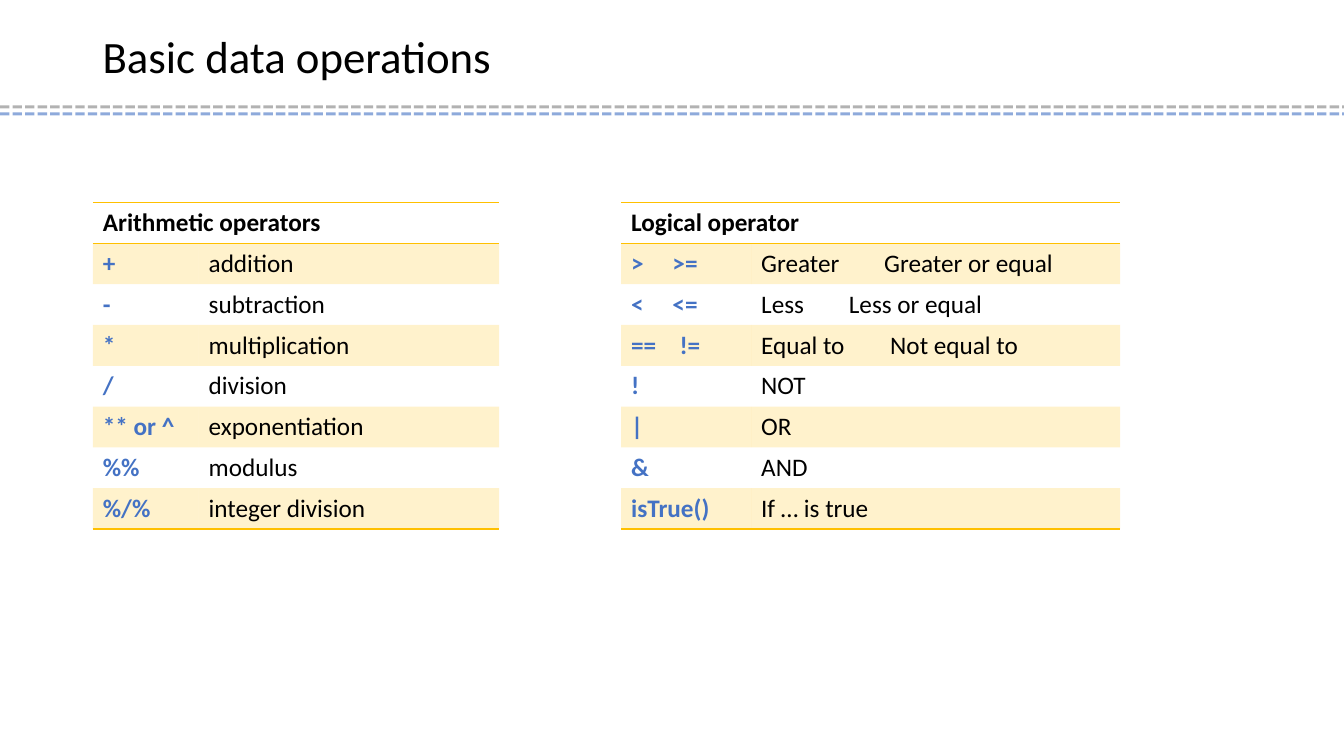
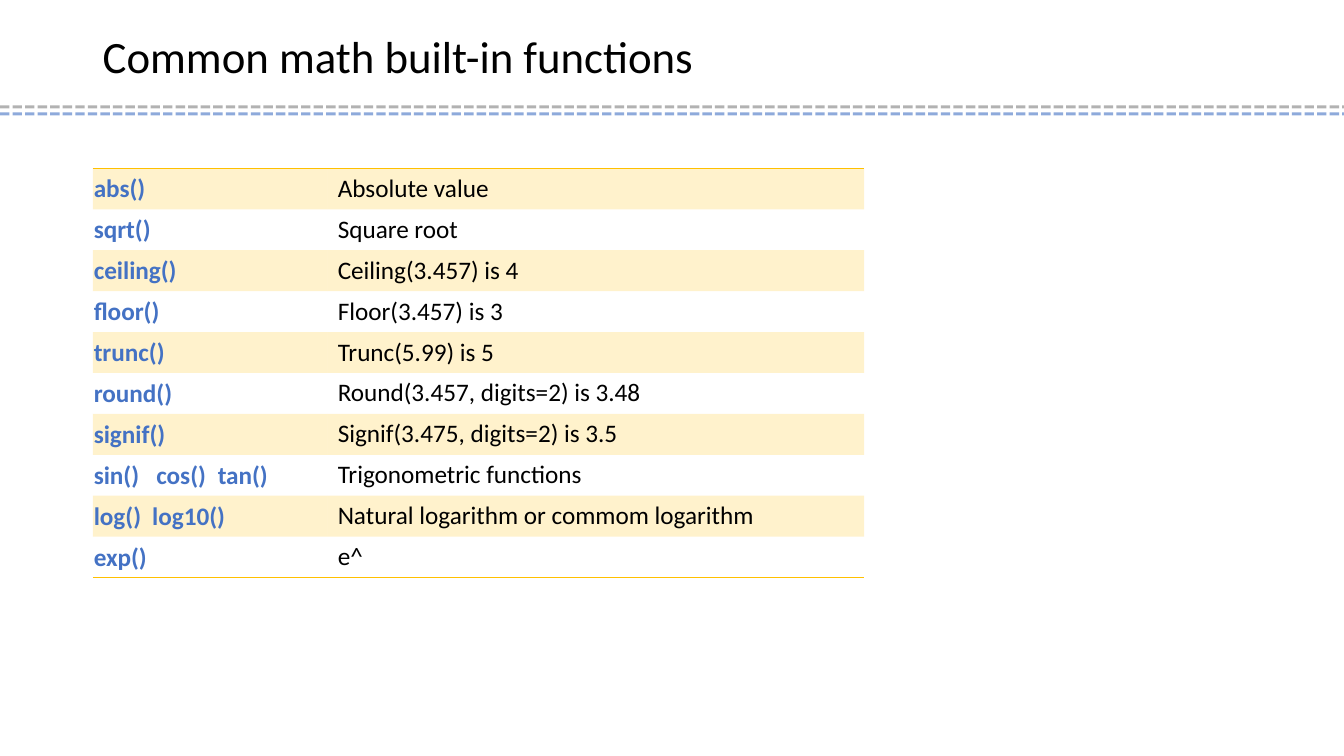
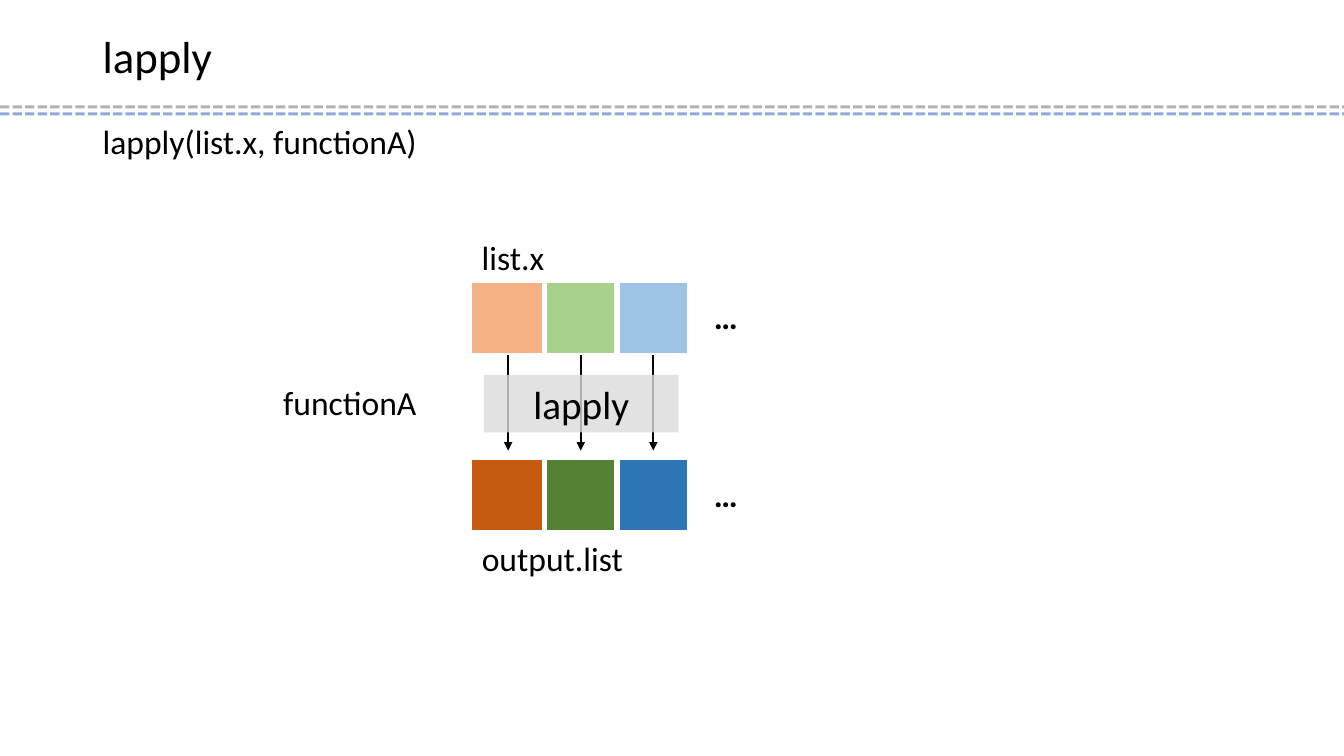
"""Build three slides on data operators, math functions and lapply."""
import dataclasses

import pptx
import pptx.dml.color
import pptx.enum.dml
import pptx.enum.shapes
import pptx.enum.text
import pptx.oxml.ns
import pptx.oxml.xmlchemy
import pptx.util
from lxml import etree

Inches = pptx.util.Inches
Pt = pptx.util.Pt
qn = pptx.oxml.ns.qn
ANCHOR = pptx.enum.text.MSO_ANCHOR
ALIGN = pptx.enum.text.PP_ALIGN


@dataclasses.dataclass(frozen=True)
class Theme:
    """Hold the shared colours, font, sizes and margins."""
    font: str = "Calibri"
    ink: str = "000000"
    paper: str = "FFFFFF"
    code: str = "4472C4"
    gold: str = "FFC000"
    rule: str = "808080"
    panel: str = "DBDBDB"
    title_size: int = 32
    call_size: int = 28
    label_size: int = 24
    table_size: int = 18
    left: float = 0.92
    width: float = 13.33
    height: float = 7.5
    plain_table: str = "{2D5ABB26-0587-4C30-8999-92F81FD0307C}"


T = Theme()

ARITHMETIC = [
    ("+", "addition"),
    ("-", "subtraction"),
    ("*", "multiplication"),
    ("/", "division"),
    ("** or ^", "exponentiation"),
    ("%%", "modulus"),
    ("%/%", "integer division"),
]
LOGICAL = [
    ((">\t>=", 0.41), ("Greater\tGreater or equal", 1.22)),
    (("<\t<=", 0.41), ("Less\tLess or equal", 0.87)),
    (("==\t!=", 0.48), ("Equal to\tNot equal to", 1.28)),
    ("!", "NOT"),
    ("|", "OR"),
    ("&", "AND"),
    ("isTrue()", "If … is true"),
]
MATH = [
    ("abs()", "Absolute value"),
    ("sqrt()", "Square root"),
    ("ceiling()", "Ceiling(3.457) is 4"),
    ("floor()", "Floor(3.457) is 3"),
    ("trunc()", "Trunc(5.99) is 5"),
    ("round()", "Round(3.457, digits=2) is 3.48"),
    ("signif()", "Signif(3.475, digits=2) is 3.5"),
    (("sin()\tcos()\ttan()", 0.62, 1.23), "Trigonometric functions"),
    (("log()\tlog10()", 0.58), "Natural logarithm or commom logarithm"),
    ("exp()", "e^"),
]


def rgb(color):
    """Return a colour object for a hex string."""
    return pptx.dml.color.RGBColor.from_string(color)


def set_alpha(parent, percent):
    """Set the opacity of the solid fill held by an element."""
    color = parent.find(qn("a:solidFill"))[0]
    etree.SubElement(color, qn("a:alpha"), val=str(percent * 1000))


def add_run(p, text, size, color=T.ink, bold=False):
    """Add one styled run to a paragraph."""
    r = p.add_run()
    r.text = text
    r.font.name = T.font
    r.font.size = Pt(size)
    r.font.bold = bold
    r.font.color.rgb = rgb(color)


def add_text(s, text, box, size=T.label_size, wrap=False, anchor=ANCHOR.TOP, spacing=1.0):
    """Add a text box with one paragraph."""
    tf = s.shapes.add_textbox(*map(Inches, box)).text_frame
    tf.word_wrap = wrap
    tf.vertical_anchor = anchor
    p = tf.paragraphs[0]
    p.line_spacing = spacing
    add_run(p, text, size)


def add_line(s, start, end, color, width):
    """Add a straight line without shadow and return its line format."""
    straight = pptx.enum.shapes.MSO_CONNECTOR.STRAIGHT
    sp = s.shapes.add_connector(straight, *map(Inches, (*start, *end)))
    sp.line.color.rgb = rgb(color)
    sp.line.width = Pt(width)
    etree.SubElement(sp._element.spPr, qn("a:effectLst"))
    return sp.line


def add_arrow(s, x, top, bottom):
    """Add a downward arrow."""
    ln = add_line(s, (x, top), (x, bottom), T.ink, 1.5)._get_or_add_ln()
    etree.SubElement(ln, qn("a:tailEnd"), type="triangle")


def add_slide(prs, title):
    """Add a blank slide with the shared dashed rules and title."""
    s = prs.slides.add_slide(prs.slide_layouts[6])
    for y, color in ((1.06, T.rule), (1.13, T.code)):
        line = add_line(s, (0, y), (T.width, y), color, 2.25)
        line.dash_style = pptx.enum.dml.MSO_LINE.SQUARE_DOT
        ln = line._get_or_add_ln()
        ln.find(qn("a:prstDash")).set("val", "sysDash")
        set_alpha(ln, 60)
    add_text(s, title, (T.left, 0.18, 11.5, 0.81), T.title_size, True, ANCHOR.MIDDLE, 0.9)
    return s


def add_table(s, left, top, height, columns, rows):
    """Add an unstyled table with the given column widths."""
    frame = s.shapes.add_table(rows, len(columns), *map(Inches, (left, top, sum(columns), height)))
    table = frame.table
    table.first_row = table.horz_banding = False
    table._tbl.tblPr.find(qn("a:tableStyleId")).text = T.plain_table
    for column, width in zip(table.columns, columns):
        column.width = Inches(width)
    return table


def style_cell(cell, borders, fill=None, alpha=100):
    """Set the borders, given in the order L, R, T, B, and then the fill."""
    tc_pr = cell._tc.get_or_add_tcPr()
    for side, (color, width) in borders.items():
        ln = etree.SubElement(tc_pr, qn("a:ln" + side), w=str(Pt(width)))
        solid = etree.SubElement(ln, qn("a:solidFill"))
        etree.SubElement(solid, qn("a:srgbClr"), val=color)
    if fill is None:
        cell.fill.background()
        return
    cell.fill.solid()
    cell.fill.fore_color.rgb = rgb(fill)
    if alpha < 100:
        set_alpha(tc_pr, alpha)


def fill_cell(cell, content, color=T.ink, bold=False):
    """Write text, with optional tab stops, into a cell."""
    text, *stops = (content,) if isinstance(content, str) else content
    p = cell.text_frame.paragraphs[0]
    if stops:
        tabs = etree.SubElement(p._p.get_or_add_pPr(), qn("a:tabLst"))
        for stop in stops:
            etree.SubElement(tabs, qn("a:tab"), pos=str(Inches(stop)), algn="l")
    add_run(p, text, T.table_size, color, bold)


def add_reference(s, left, top, height, columns, entries, header=None):
    """Add a banded table of code and meaning, with an optional header."""
    first = 1 if header else 0
    count = len(entries) + first
    table = add_table(s, left, top, height, columns, count)
    edge = (T.gold, 1)
    if header:
        table.cell(0, 0).merge(table.cell(0, 1))
        fill_cell(table.cell(0, 0), header, bold=True)
        for cell in table.rows[0].cells:
            style_cell(cell, {"T": edge, "B": edge})
    for i, (code, meaning) in enumerate(entries):
        row = i + first
        borders = {}
        if row == 0:
            borders["T"] = edge
        if row == count - 1:
            borders["B"] = edge
        for cell in table.rows[row].cells:
            style_cell(cell, borders, T.gold if i % 2 == 0 else None, 20)
        fill_cell(table.cell(row, 0), code, T.code, True)
        fill_cell(table.cell(row, 1), meaning)
    return table


def add_squares(s, left, top, side, colors):
    """Add a row of coloured squares ending in an ellipsis."""
    last = len(colors)
    table = add_table(s, left, top, side, [side] * (last + 1), 1)
    for i, color in enumerate([*colors, None]):
        borders = {
            "L": (T.paper, 4.5 if i else 1),
            "R": (T.paper, 4.5 if i < last else 1),
            "T": (T.paper, 1),
            "B": (T.paper, 3),
        }
        style_cell(table.cell(0, i), borders, color)
    cell = table.cell(0, last)
    cell.vertical_anchor = ANCHOR.MIDDLE
    p = cell.text_frame.paragraphs[0]
    p.alignment = ALIGN.CENTER
    add_run(p, "…", T.label_size, bold=True)


def add_panel(s, text, box):
    """Add a translucent rectangle with centred text."""
    sp = s.shapes.add_shape(pptx.enum.shapes.MSO_SHAPE.RECTANGLE, *map(Inches, box))
    sp.shadow.inherit = False
    sp.fill.solid()
    sp.fill.fore_color.rgb = rgb(T.panel)
    set_alpha(sp._element.spPr, 80)
    sp.line.fill.background()
    tf = sp.text_frame
    tf.vertical_anchor = ANCHOR.TOP
    p = tf.paragraphs[0]
    p.alignment = ALIGN.CENTER
    add_run(p, text, T.call_size)


def build_operators(prs):
    """Build the slide of arithmetic and logical operators."""
    s = add_slide(prs, "Basic data operations")
    add_reference(s, T.left, 2.01, 3.24, (1.05, 2.98), ARITHMETIC, "Arithmetic operators")
    add_reference(s, 6.16, 2.01, 3.24, (1.29, 3.66), LOGICAL, "Logical operator")


def build_math(prs):
    """Build the slide of math functions."""
    s = add_slide(prs, "Common math built-in functions")
    table = add_reference(s, T.left, 1.67, 4.06, (2.33, 5.32), MATH)
    for row in table.rows:
        cell = row.cells[0]
        cell.vertical_anchor = ANCHOR.MIDDLE
        cell.margin_left = cell.margin_right = cell.margin_top = Inches(0.01)
        cell.margin_bottom = 0


def build_lapply(prs):
    """Build the slide that maps a function over a list."""
    s = add_slide(prs, "lapply")
    left, side = 4.68, 0.72
    inputs = ("F4B183", "A9D18E", "9DC3E6")
    outputs = ("C55A11", "548235", "2E75B6")
    add_text(s, "lapply(list.x, functionA)", (T.left, 1.2, 3.56, 0.55), wrap=True, spacing=0.9)
    add_squares(s, left, 2.8, side, inputs)
    add_text(s, "list.x", (left, 2.3, 0.83, 0.5))
    for i in range(len(inputs)):
        add_arrow(s, left + side * (i + 0.5), 3.52, 4.47)
    add_text(s, "functionA", (2.71, 3.74, 1.54, 0.5))
    add_squares(s, left, 4.56, side, outputs)
    add_text(s, "output.list", (left, 5.29, 1.61, 0.5))
    add_panel(s, "lapply", (4.8, 3.72, 1.93, 0.57))


def main():
    """Build and save the presentation."""
    prs = pptx.Presentation()
    prs.slide_width = Inches(T.width)
    prs.slide_height = Inches(T.height)
    build_operators(prs)
    build_math(prs)
    build_lapply(prs)
    prs.save("out.pptx")


if __name__ == "__main__":
    main()
